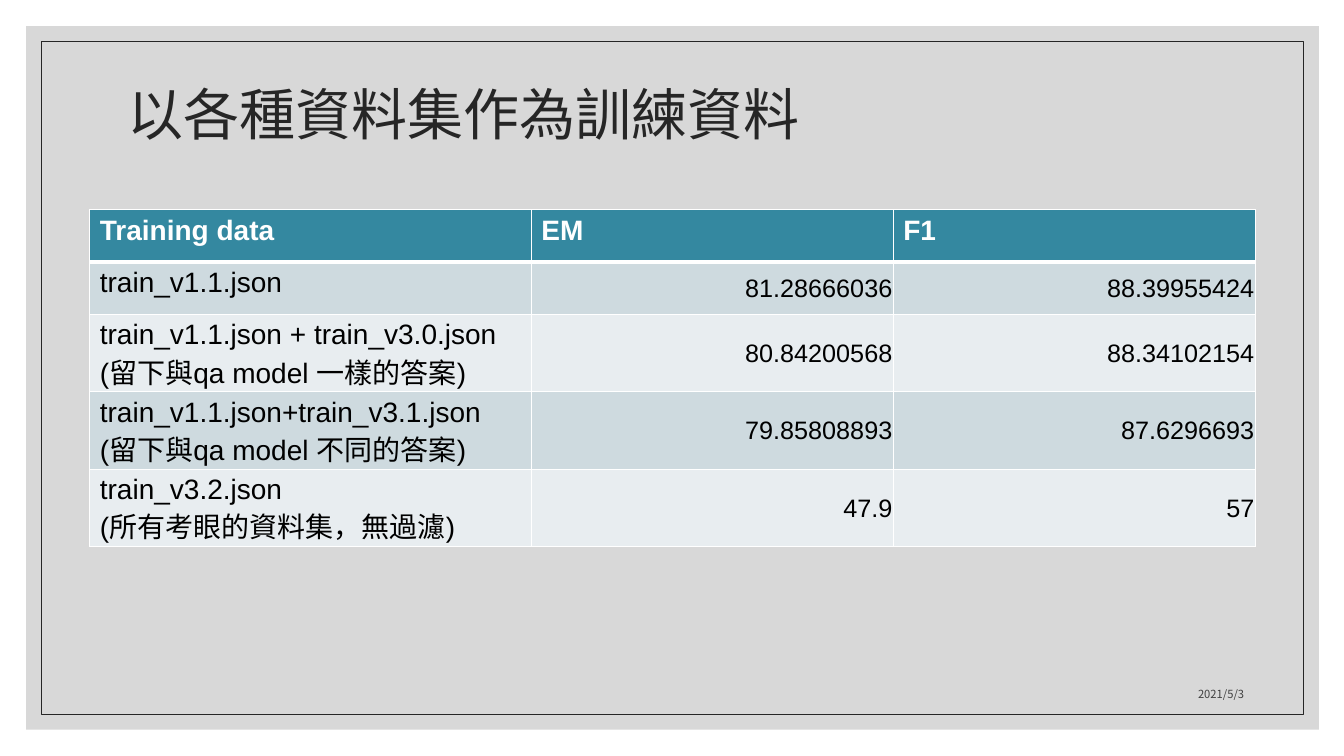
from lxml import etree
from pptx import Presentation
from pptx import util as u
from pptx.dml import color
from pptx.enum import shapes, text
from pptx.oxml import ns

COLORS = {
    "panel": "BFBFBF", "frame": "262626", "title": "262626", "date": "404040",
    "header": "3488A0", "odd": "CEDADF", "even": "E8EDF0",
    "white": "FFFFFF", "black": "000000",
}
CJK_FONT = "Noto Sans CJK TC"
LATIN_FONT = "Arial"

HEADINGS = ["Training data", "EM", "F1"]
RESULTS = [
    (["train_v1.1.json"], "81.28666036", "88.39955424"),
    (["train_v1.1.json + train_v3.0.json (留下與qa model 一樣的答案)"], "80.84200568", "88.34102154"),
    (["train_v1.1.json+train_v3.1.json", "(留下與qa model 不同的答案)"], "79.85808893", "87.6296693"),
    (["train_v3.2.json", "(所有考眼的資料集，無過濾)"], "47.9", "57"),
]
COLUMN_WIDTHS = [4.38, 3.59, 3.59]
ROW_HEIGHT = 0.52
LABEL_FORMAT = {"size": u.Pt(20), "bold": False, "name": LATIN_FONT}
HEADER_FORMAT = {**LABEL_FORMAT, "bold": True}
SCORE_FORMAT = {**LABEL_FORMAT, "size": u.Pt(18)}
SCORE_CELL = {
    "vertical_anchor": text.MSO_ANCHOR.MIDDLE,
    "margin_left": u.Inches(0.01), "margin_right": u.Inches(0.01),
    "margin_top": u.Inches(0.01), "margin_bottom": 0,
}


def rgb(name):
    return color.RGBColor.from_string(COLORS[name])


def apply_format(target, values):
    for attribute, value in values.items():
        setattr(target, attribute, value)


def write_lines(frame, lines, font_format, color_name, paragraph_format):
    for index, line in enumerate(lines):
        paragraph = frame.paragraphs[0] if index == 0 else frame.add_paragraph()
        apply_format(paragraph, paragraph_format)
        run = paragraph.add_run()
        run.text = line
        apply_format(run.font, font_format)
        run.font.color.rgb = rgb(color_name)
        east_asian = etree.SubElement(run.font._element, ns.qn("a:ea"))
        east_asian.set("typeface", CJK_FONT)


def add_rectangle(slide, left, top, width, height):
    rectangle = slide.shapes.add_shape(
        shapes.MSO_SHAPE.RECTANGLE, *map(u.Inches, (left, top, width, height)))
    rectangle.shadow.inherit = False
    return rectangle


def add_backdrop(slide):
    panel = add_rectangle(slide, 0.26, 0.26, 12.82, 6.98)
    panel.fill.solid()
    panel.fill.fore_color.rgb = rgb("panel")
    panel.line.fill.background()
    panel_color = panel._element.spPr.find(".//" + ns.qn("a:srgbClr"))
    etree.SubElement(panel_color, ns.qn("a:alpha")).set("val", "60000")

    frame = add_rectangle(slide, 0.41, 0.41, 12.52, 6.68)
    frame.fill.background()
    frame.line.color.rgb = rgb("frame")
    frame.line.width = u.Pt(0.5)


def add_text(slide, box, line, size, color_name, anchor, paragraph_format):
    frame = slide.shapes.add_textbox(*map(u.Inches, box)).text_frame
    apply_format(frame, {"word_wrap": True, "vertical_anchor": anchor})
    write_lines(frame, [line], {"size": u.Pt(size), "name": CJK_FONT},
                color_name, paragraph_format)


def set_borders(cell, top_points, bottom_points):
    properties = cell._tc.get_or_add_tcPr()
    for side, points in zip("LRTB", (1, 1, top_points, bottom_points)):
        border = etree.SubElement(properties, ns.qn("a:ln" + side), w=str(u.Pt(points)))
        fill = etree.SubElement(border, ns.qn("a:solidFill"))
        etree.SubElement(fill, ns.qn("a:srgbClr"), val=COLORS["white"])


def fill_cell(cell, row, column, lines):
    is_header = row == 0
    is_score = row > 0 and column > 0
    set_borders(cell, 3 if row == 1 else 1, 3 if is_header else 1)
    cell.fill.solid()
    cell.fill.fore_color.rgb = rgb("header" if is_header else "odd" if row % 2 else "even")
    if is_score:
        apply_format(cell, SCORE_CELL)
    font_format = HEADER_FORMAT if is_header else SCORE_FORMAT if is_score else LABEL_FORMAT
    alignment = text.PP_ALIGN.RIGHT if is_score else text.PP_ALIGN.LEFT
    write_lines(cell.text_frame, lines, font_format,
                "white" if is_header else "black", {"alignment": alignment})


def add_results_table(slide):
    rows = [[[heading] for heading in HEADINGS]]
    rows += [[label, [em], [f1]] for label, em, f1 in RESULTS]
    results = slide.shapes.add_table(
        len(rows), len(HEADINGS), u.Inches(0.89), u.Inches(2.08),
        u.Inches(sum(COLUMN_WIDTHS)), u.Inches(ROW_HEIGHT * len(rows))).table
    for column, width in zip(results.columns, COLUMN_WIDTHS):
        column.width = u.Inches(width)
    for row, contents in enumerate(rows):
        results.rows[row].height = u.Inches(ROW_HEIGHT)
        for column, lines in enumerate(contents):
            fill_cell(results.cell(row, column), row, column, lines)


def main():
    deck = Presentation()
    deck.slide_width, deck.slide_height = u.Inches(13.33), u.Inches(7.5)
    slide = deck.slides.add_slide(deck.slide_layouts[6])
    add_backdrop(slide)
    add_text(slide, (1.17, 0.7, 11, 0.93), "以各種資料集作為訓練資料", 40, "title",
             text.MSO_ANCHOR.MIDDLE, {"line_spacing": 0.9})
    add_text(slide, (9.28, 6.6, 3.16, 0.4), "2021/5/3", 8, "date",
             text.MSO_ANCHOR.BOTTOM, {"alignment": text.PP_ALIGN.RIGHT})
    add_results_table(slide)
    deck.save("out.pptx")


if __name__ == "__main__":
    main()
